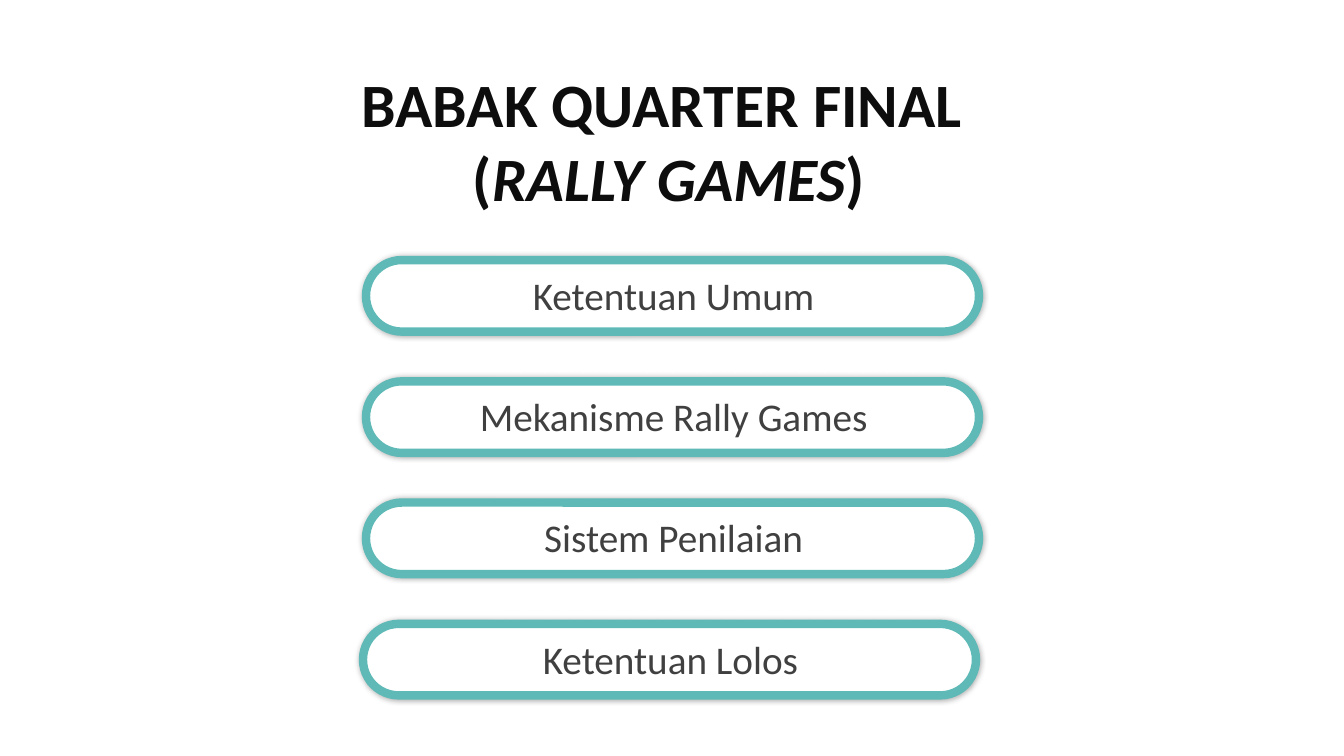
from lxml.etree import SubElement
from pptx import Presentation
from pptx.dml.color import RGBColor
from pptx.enum.shapes import MSO_SHAPE
from pptx.enum.text import MSO_ANCHOR, MSO_AUTO_SIZE, PP_ALIGN
from pptx.oxml.ns import qn
from pptx.util import Inches, Pt

COLORS = {"title": "0D0D0D", "topic": "404040", "pill": "FFFFFF",
          "border": "5FBAB7", "shadow": "404040"}
FONT = "Calibri"

# Each title line is a list of (wording, italic) runs.
TITLE_LINES = [
    [("BABAK QUARTER FINAL ", False)],
    [("(", False), ("RALLY GAMES", True), (")", False)],
]
# Each topic has the left edge of its pill, in inches.
TOPICS = [
    ("Ketentuan Umum", 3.63),
    ("Mekanisme Rally Games", 3.63),
    ("Sistem Penilaian", 3.63),
    ("Ketentuan Lolos", 3.6),
]
FIRST_TOP, PITCH = 2.58, 1.203
PILL_WIDTH, PILL_HEIGHT = 6.08, 0.71
LABEL_INSET = 0.06
LABEL_WIDTH, LABEL_HEIGHT = 5.98, 0.57


def color(name):
    return RGBColor.from_string(COLORS[name])


def add_run(paragraph, wording, size, color_name, bold=False, italic=False):
    run = paragraph.add_run()
    run.text = wording
    font = run.font
    font.name, font.size = FONT, Pt(size)
    font.bold, font.italic = bold, italic
    font.color.rgb = color(color_name)


def add_glow_shadow(shape):
    """Give the shape a soft, centred outer shadow."""
    shape.shadow.inherit = False
    effects = shape._element.spPr.find(qn("a:effectLst"))
    shadow = SubElement(effects, qn("a:outerShdw"), blurRad=str(Pt(4)),
                        dist="0", dir="0", algn="ctr", rotWithShape="0")
    tint = SubElement(shadow, qn("a:srgbClr"), val=COLORS["shadow"])
    SubElement(tint, qn("a:alpha"), val="40000")


def add_title(slide):
    title = slide.shapes.title
    title.left, title.top = Inches(3.46), Inches(0.6)
    title.width, title.height = Inches(6.35), Inches(1.58)
    frame = title.text_frame
    frame.word_wrap = False
    frame.auto_size = MSO_AUTO_SIZE.SHAPE_TO_FIT_TEXT
    frame.vertical_anchor = MSO_ANCHOR.TOP
    for index, line in enumerate(TITLE_LINES):
        paragraph = frame.add_paragraph() if index else frame.paragraphs[0]
        paragraph.alignment = PP_ALIGN.CENTER
        for wording, italic in line:
            add_run(paragraph, wording, 44, "title", True, italic)


def add_topic(slide, topic, left, top):
    pill = slide.shapes.add_shape(
        MSO_SHAPE.ROUNDED_RECTANGLE, Inches(left), Inches(top),
        Inches(PILL_WIDTH), Inches(PILL_HEIGHT))
    pill.adjustments[0] = 0.5
    pill.fill.solid()
    pill.fill.fore_color.rgb = color("pill")
    pill.line.color.rgb = color("border")
    pill.line.width = Pt(6)
    add_glow_shadow(pill)

    label = slide.shapes.add_textbox(
        Inches(left + LABEL_INSET), Inches(top + LABEL_INSET),
        Inches(LABEL_WIDTH), Inches(LABEL_HEIGHT))
    frame = label.text_frame
    frame.word_wrap = True
    frame.auto_size = MSO_AUTO_SIZE.SHAPE_TO_FIT_TEXT
    paragraph = frame.paragraphs[0]
    paragraph.alignment = PP_ALIGN.CENTER
    add_run(paragraph, topic, 28, "topic")


def main():
    deck = Presentation()
    deck.slide_width, deck.slide_height = Inches(13.33), Inches(7.5)
    slide = deck.slides.add_slide(deck.slide_layouts.get_by_name("Title Only"))
    add_title(slide)
    for row, (topic, left) in enumerate(TOPICS):
        add_topic(slide, topic, left, FIRST_TOP + row * PITCH)
    deck.save("out.pptx")


if __name__ == "__main__":
    main()
